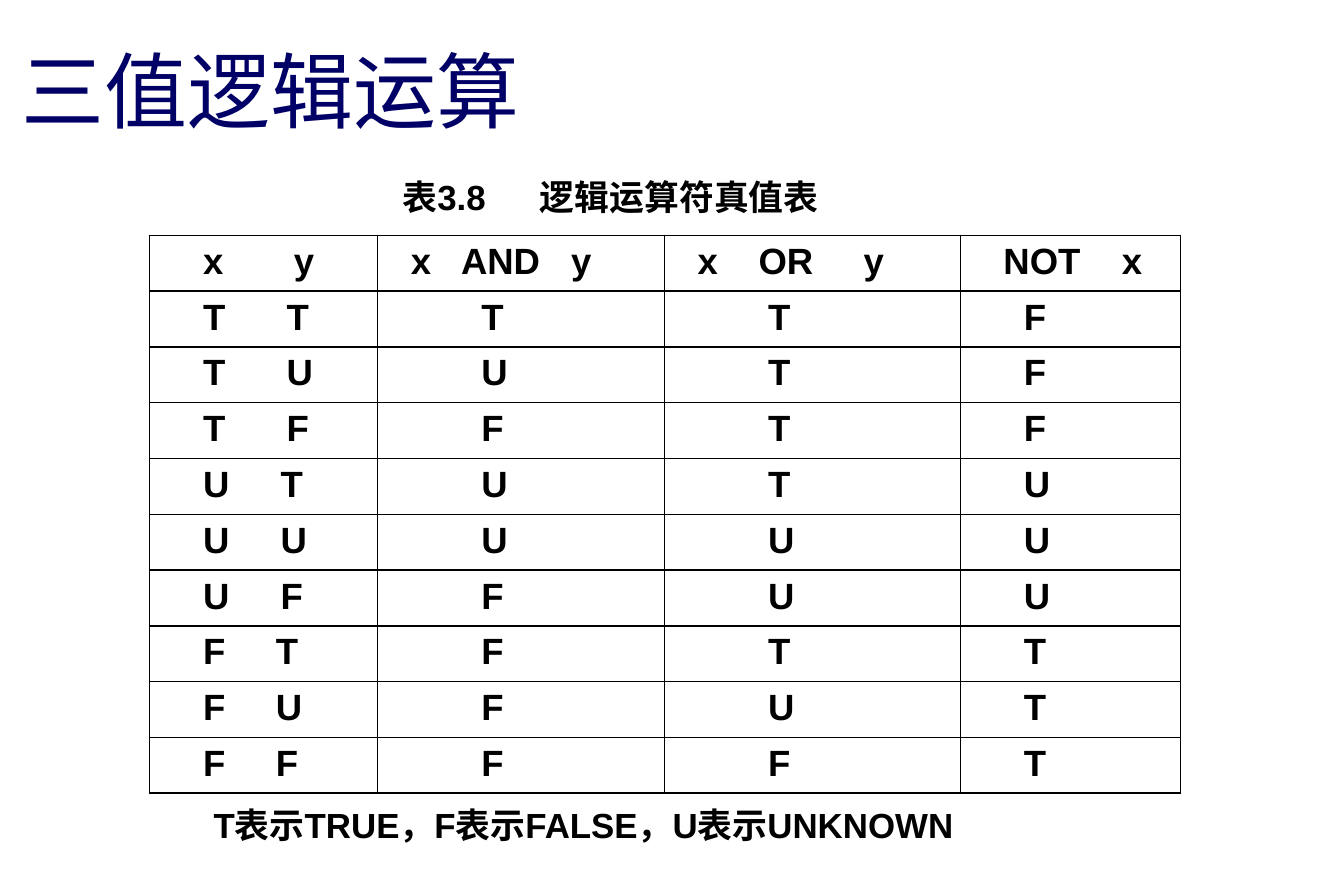
from dataclasses import dataclass

from pptx import Presentation, util as u
from pptx.dml.color import RGBColor
from pptx.enum import text
from pptx.oxml import parse_xml
from pptx.oxml.ns import nsdecls

PX = 9144  # EMU per px, 100 px to the inch
COLORS = {"title": "000066", "ink": "000000", "paper": "FFFFFF"}
CELL_INSET = (11, 5)
TABLE_BOX = (125, 197, 863, 467)

SECOND_OPERAND_TAB = {"T": 70, "U": 65, "F": 61}
TRUTH_ORDER = "FUT"


@dataclass(frozen=True)
class Column:
    width: int
    heading: str
    heading_indent: int
    heading_tabs: tuple[int, ...]
    value_indent: int


@dataclass(frozen=True)
class Label:
    box: tuple[int, int, int, int]
    wording: str
    size: int
    font: str = "Arial"
    color: str = "ink"
    bold: bool = True
    inset: tuple[int, int] = (10, 5)
    anchor: text.MSO_ANCHOR = text.MSO_ANCHOR.TOP
    tabs: tuple[int, ...] = ()


COLUMNS = (
    Column(191, "x\ty", 34, (76,), 34),
    Column(240, "x\tAND\ty", 17, (42, 134), 76),
    Column(248, "x\tOR\ty", 17, (51, 139), 76),
    Column(184, "NOT\tx", 25, (99,), 42),
)
LABELS = (
    Label((0, 13, 1121, 124), "三值逻辑运算", 50, "Roboto", "title", False,
          (18, 9), text.MSO_ANCHOR.MIDDLE),
    Label((169, 668, 698, 45), "T表示TRUE，F表示FALSE，U表示UNKNOWN", 21),
    Label((327, 142, 422, 45), "表3.8\t逻辑运算符真值表", 21, tabs=(115,)),
)


def px(length: int) -> u.Emu:
    return u.Emu(length * PX)


def write(frame, wording: str, *, size: int, font: str = "Arial", color: str = "ink",
          bold: bool = True, tabs: tuple[int, ...] = ()) -> None:
    paragraph = frame.paragraphs[0]
    paragraph.alignment = text.PP_ALIGN.LEFT
    if tabs:
        stops = "".join(f'<a:tab pos="{px(stop)}" algn="l"/>' for stop in tabs)
        paragraph._p.get_or_add_pPr().append(
            parse_xml(f'<a:tabLst {nsdecls("a")}>{stops}</a:tabLst>'))
    run = paragraph.add_run()
    run.text = wording
    run.font.size = u.Pt(size)
    run.font.name = font
    run.font.bold = bold
    run.font.color.rgb = RGBColor.from_string(COLORS[color])


def add_label(slide, label: Label) -> None:
    frame = slide.shapes.add_textbox(*map(px, label.box)).text_frame
    frame.word_wrap = True
    frame.vertical_anchor = label.anchor
    frame.margin_left = frame.margin_right = px(label.inset[0])
    frame.margin_top = frame.margin_bottom = px(label.inset[1])
    write(frame, label.wording, size=label.size, font=label.font,
          color=label.color, bold=label.bold, tabs=label.tabs)


def style_cell(cell, indent: int) -> None:
    """Give a cell its margins, white fill and thin black border."""
    side, top = CELL_INSET
    cell.margin_left, cell.margin_right = px(side + indent), px(side)
    cell.margin_top = cell.margin_bottom = px(top)
    properties = cell._tc.get_or_add_tcPr()
    for edge in ("lnL", "lnR", "lnT", "lnB"):
        properties.append(parse_xml(
            f'<a:{edge} {nsdecls("a")} w="{u.Pt(1)}"><a:solidFill>'
            f'<a:srgbClr val="{COLORS["ink"]}"/></a:solidFill></a:{edge}>'))
    cell.fill.solid()
    cell.fill.fore_color.rgb = RGBColor.from_string(COLORS["paper"])


def truth_row(x: str, y: str) -> tuple[str, ...]:
    """Work out the three-valued results for one pair of operands."""
    rank = TRUTH_ORDER.index
    return (f"{x}\t{y}", min(x, y, key=rank), max(x, y, key=rank),
            TRUTH_ORDER[2 - rank(x)])


def add_truth_table(slide) -> None:
    operands = TRUTH_ORDER[::-1]
    pairs = [(x, y) for x in operands for y in operands]
    table = slide.shapes.add_table(len(pairs) + 1, len(COLUMNS),
                                   *map(px, TABLE_BOX)).table
    table.first_row = table.horz_banding = False
    for row in table.rows:
        row.height = u.Emu(px(TABLE_BOX[3]) // len(table.rows))
    for index, column in enumerate(COLUMNS):
        table.columns[index].width = px(column.width)
        heading = table.cell(0, index)
        style_cell(heading, column.heading_indent)
        write(heading.text_frame, column.heading, size=22, tabs=column.heading_tabs)
    for row_index, (x, y) in enumerate(pairs, start=1):
        for index, value in enumerate(truth_row(x, y)):
            cell = table.cell(row_index, index)
            style_cell(cell, COLUMNS[index].value_indent)
            tabs = (SECOND_OPERAND_TAB[x],) if index == 0 else ()
            write(cell.text_frame, value, size=22, tabs=tabs)


def main() -> None:
    deck = Presentation()
    deck.slide_width, deck.slide_height = px(1125), px(750)
    slide = deck.slides.add_slide(deck.slide_layouts[6])
    title, *notes = LABELS
    add_label(slide, title)
    add_truth_table(slide)
    for note in notes:
        add_label(slide, note)
    deck.save("out.pptx")


if __name__ == "__main__":
    main()
